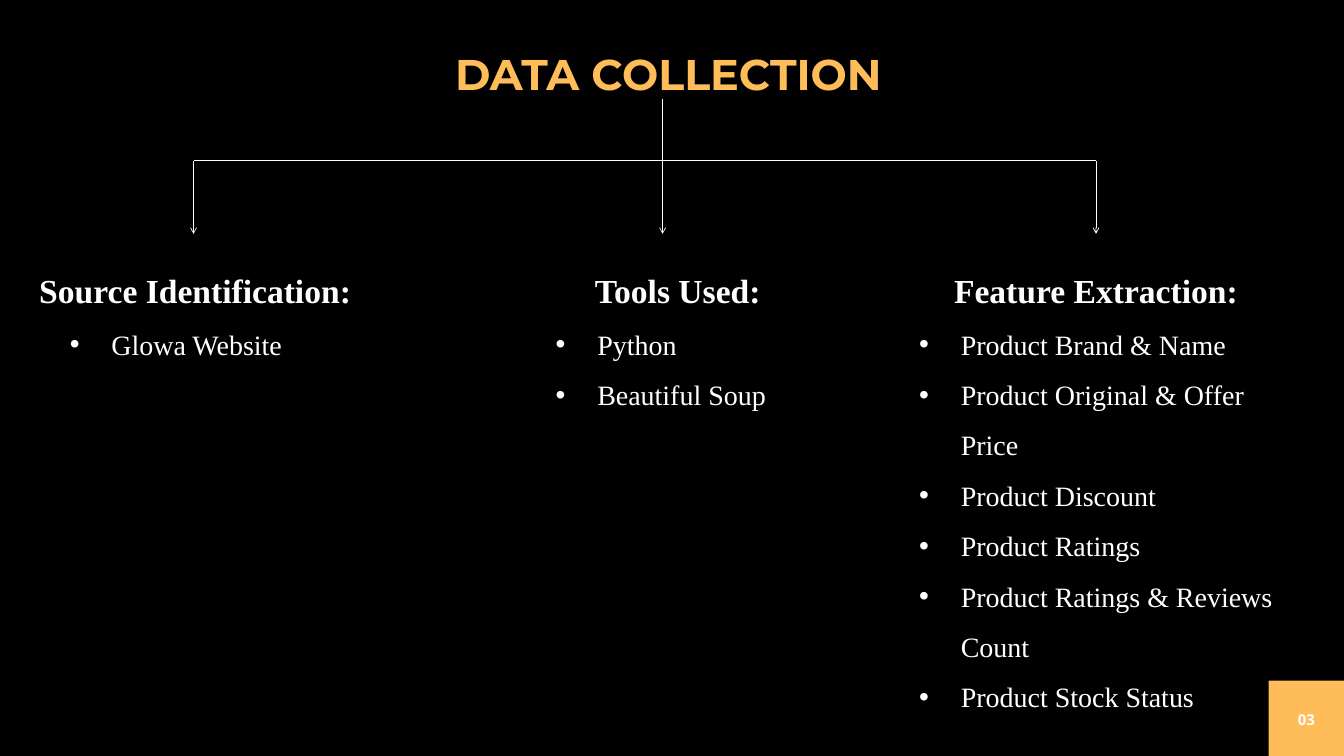
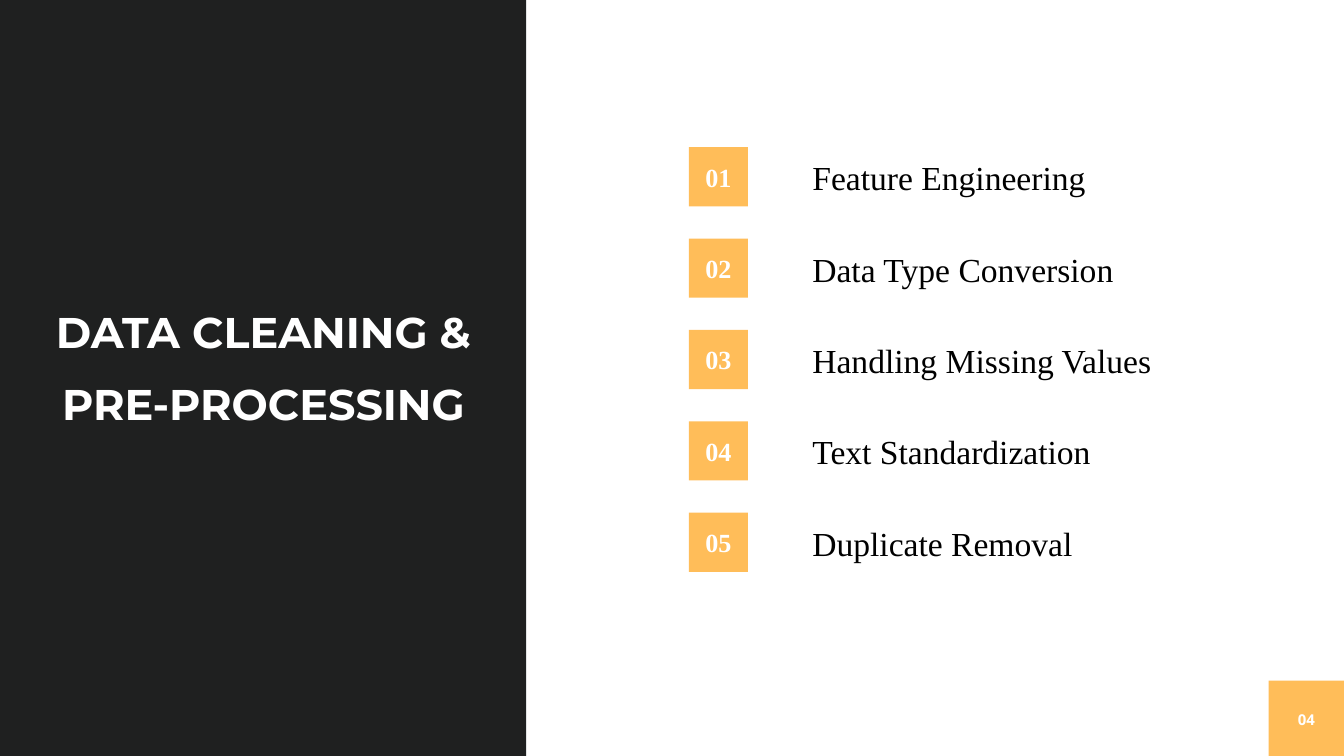
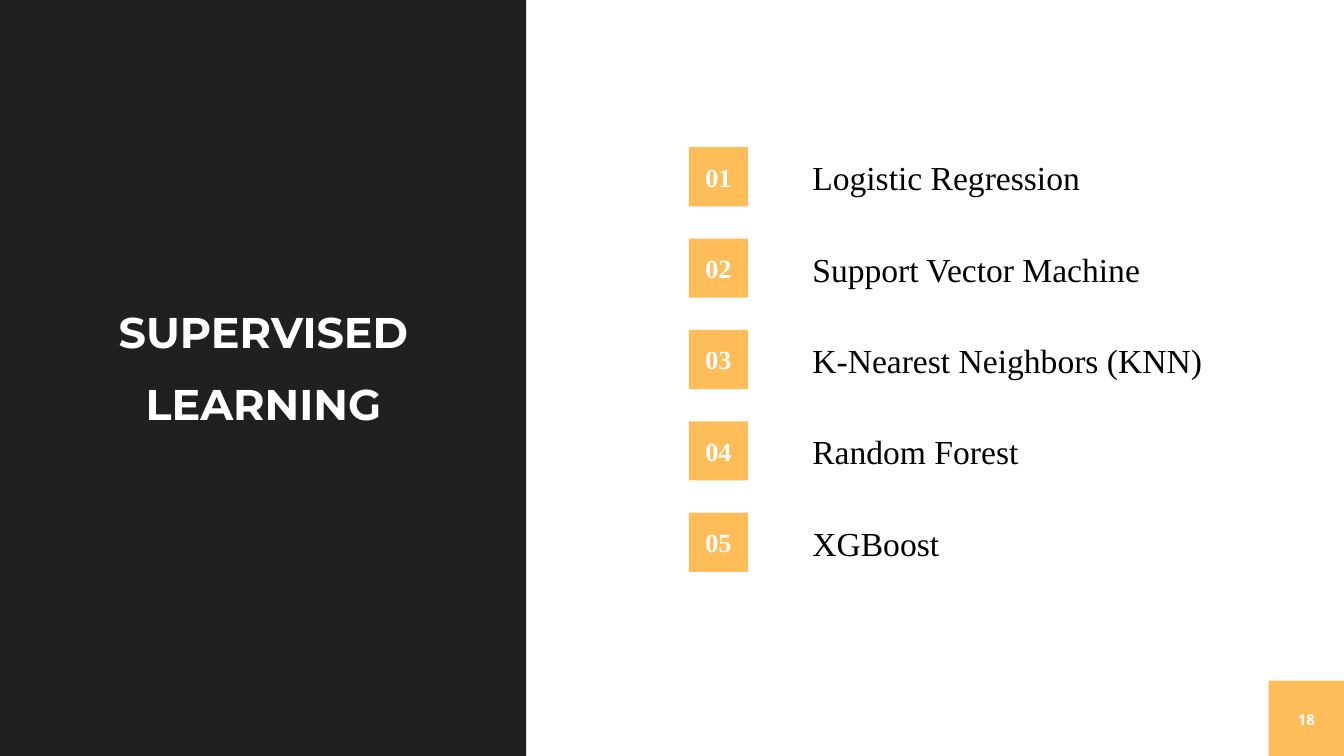
from lxml import etree
from pptx import Presentation
from pptx.dml.color import RGBColor
from pptx.enum.shapes import MSO_CONNECTOR, MSO_SHAPE
from pptx.enum.text import MSO_ANCHOR, PP_ALIGN
from pptx.oxml.ns import qn
from pptx.util import Inches, Pt

RECTANGLE = MSO_SHAPE.RECTANGLE
STRAIGHT = MSO_CONNECTOR.STRAIGHT
LEFT, CENTER = PP_ALIGN.LEFT, PP_ALIGN.CENTER
TOP, MIDDLE = MSO_ANCHOR.TOP, MSO_ANCHOR.MIDDLE

COLUMNS, ROWS = 20, 11.25
BLACK, WHITE, GOLD, CHARCOAL = "000000", "FFFFFF", "FFBD59", "1F2020"
TITLE_FONT, NUMBER_FONT, BODY_FONT = "Montserrat", "Open Sans", "Times New Roman"

STEM_X, STEM_TOP, BRANCH_Y, ARROW_TIP = 9.86, 1.48, 2.39, 3.48
HEADING_TOP = 3.67
BRANCHES = [
    # arrow x, text left, text width, text height, heading, bullets
    (2.88, 0.44, 4.93, 1.77, "Source Identification:", ["Glowa Website"]),
    (STEM_X, 7.67, 4.83, 2.52, "Tools Used:", ["Python", "Beautiful Soup"]),
    (16.31, 13.08, 6.46, 7.07, "Feature Extraction:", [
        "Product Brand & Name", "Product Original & Offer Price",
        "Product Discount", "Product Ratings",
        "Product Ratings & Reviews Count", "Product Stock Status"]),
]

PANEL_WIDTH = 7.83
BADGE_LEFT, BADGE_TOP, BADGE_SIZE, BADGE_STEP = 10.25, 2.19, 0.88, 1.36
LABEL_LEFT, LABEL_WIDTH, LABEL_HEIGHT = 11.99, 6.5, 0.71
AGENDAS = [
    ("DATA CLEANING & PRE-PROCESSING", "04", [
        "Feature Engineering", "Data Type Conversion", "Handling Missing Values",
        "Text Standardization", "Duplicate Removal"]),
    ("SUPERVISED LEARNING", "18", [
        "Logistic Regression", "Support Vector Machine", "K-Nearest Neighbors (KNN)",
        "Random Forest", "XGBoost"]),
]


def color(code):
    return RGBColor.from_string(code)


class Builder:
    """Draws on the current slide; lengths are columns and rows of the grid."""

    def __init__(self):
        self.deck = Presentation()
        self.deck.slide_width, self.deck.slide_height = Inches(COLUMNS), Inches(ROWS)
        self.cell = self.deck.slide_width // COLUMNS
        self.page = None

    def units(self, *lengths):
        return [round(length * self.cell) for length in lengths]

    def new_page(self, background, number):
        self.page = self.deck.slides.add_slide(self.deck.slide_layouts[6])
        fill = self.page.background.fill
        fill.solid()
        fill.fore_color.rgb = color(background)
        side = 1.12
        corner = self.block(COLUMNS - side, ROWS - side, side, side, GOLD)
        self.paragraph(corner, number, 16, WHITE, NUMBER_FONT, True, CENTER, Pt(22.4))

    def block(self, left, top, width, height, fill):
        """Add a plain rectangle and return its text frame."""
        shape = self.page.shapes.add_shape(RECTANGLE, *self.units(left, top, width, height))
        shape.shadow.inherit = False
        shape.fill.solid()
        shape.fill.fore_color.rgb = color(fill)
        shape.line.fill.background()
        return self.frame(shape, MIDDLE, inset=False)

    def text_box(self, left, top, width, height, anchor=TOP, inset=True):
        box = self.page.shapes.add_textbox(*self.units(left, top, width, height))
        return self.frame(box, anchor, inset)

    def frame(self, shape, anchor, inset):
        frame = shape.text_frame
        frame.word_wrap = True
        frame.vertical_anchor = anchor
        if not inset:
            frame.margin_left = frame.margin_right = 0
            frame.margin_top = frame.margin_bottom = 0
        return frame

    def paragraph(self, frame, text, size, ink, font=BODY_FONT, bold=False,
                  align=LEFT, spacing=None):
        """Fill the first paragraph if it is free, otherwise add one."""
        para = frame.paragraphs[0]
        if para.runs:
            para = frame.add_paragraph()
        para.alignment = align
        para.line_spacing = spacing
        span = para.add_run()
        span.text = text
        span.font.name, span.font.size, span.font.bold = font, Pt(size), bold
        span.font.color.rgb = color(ink)
        return para

    def bullet(self, frame, text):
        para = self.paragraph(frame, text, 30, WHITE, spacing=1.5)
        para.level = 1
        properties = para._p.get_or_add_pPr()
        properties.set("marL", str(Inches(1.12)))
        properties.set("indent", str(Inches(-0.62)))
        etree.SubElement(properties, qn("a:buFont")).set("typeface", "Arial")
        etree.SubElement(properties, qn("a:buChar")).set("char", "•")

    def title(self, text, left, top, width, height, ink, spacing=None):
        frame = self.text_box(left, top, width, height, MIDDLE, inset=False)
        self.paragraph(frame, text, 46, ink, TITLE_FONT, True, CENTER, spacing)

    def line(self, x1, y1, x2, y2, arrow=False):
        line = self.page.shapes.add_connector(STRAIGHT, *self.units(x1, y1, x2, y2))
        line.line.color.rgb = color(WHITE)
        line.line.width = Pt(0.75)
        if arrow:
            stroke = line.line._get_or_add_ln()
            etree.SubElement(stroke, qn("a:tailEnd")).set("type", "arrow")
        etree.SubElement(line._element.spPr, qn("a:effectLst"))


def build_collection(builder):
    builder.new_page(BLACK, "03")
    builder.title("DATA COLLECTION", 1.18, 0.71, 17.53, 0.77, GOLD)
    builder.line(STEM_X, STEM_TOP, STEM_X, BRANCH_Y)
    builder.line(BRANCHES[0][0], BRANCH_Y, BRANCHES[-1][0], BRANCH_Y)
    for arrow_x, left, width, height, heading, bullets in BRANCHES:
        builder.line(arrow_x, BRANCH_Y, arrow_x, ARROW_TIP, arrow=True)
        frame = builder.text_box(left, HEADING_TOP, width, height)
        builder.paragraph(frame, heading, 36, WHITE, bold=True, align=CENTER, spacing=1.5)
        for text in bullets:
            builder.bullet(frame, text)


def build_agenda(builder, title, number, items):
    """Add a slide with a dark title panel and a numbered list."""
    builder.new_page(WHITE, number)
    builder.block(0, 0, PANEL_WIDTH, ROWS, CHARCOAL)
    builder.title(title, 0.67, 4.29, 6.5, 2.05, WHITE, Pt(77))
    for index, item in enumerate(items):
        top = BADGE_TOP + index * BADGE_STEP
        badge = builder.block(BADGE_LEFT, top, BADGE_SIZE, BADGE_SIZE, GOLD)
        builder.paragraph(badge, f"{index + 1:02}", 28, WHITE, bold=True, align=CENTER)
        label = builder.text_box(LABEL_LEFT, top + 0.1, LABEL_WIDTH, LABEL_HEIGHT)
        builder.paragraph(label, item, 36, BLACK)


def main():
    builder = Builder()
    build_collection(builder)
    for agenda in AGENDAS:
        build_agenda(builder, *agenda)
    builder.deck.save("out.pptx")


if __name__ == "__main__":
    main()
